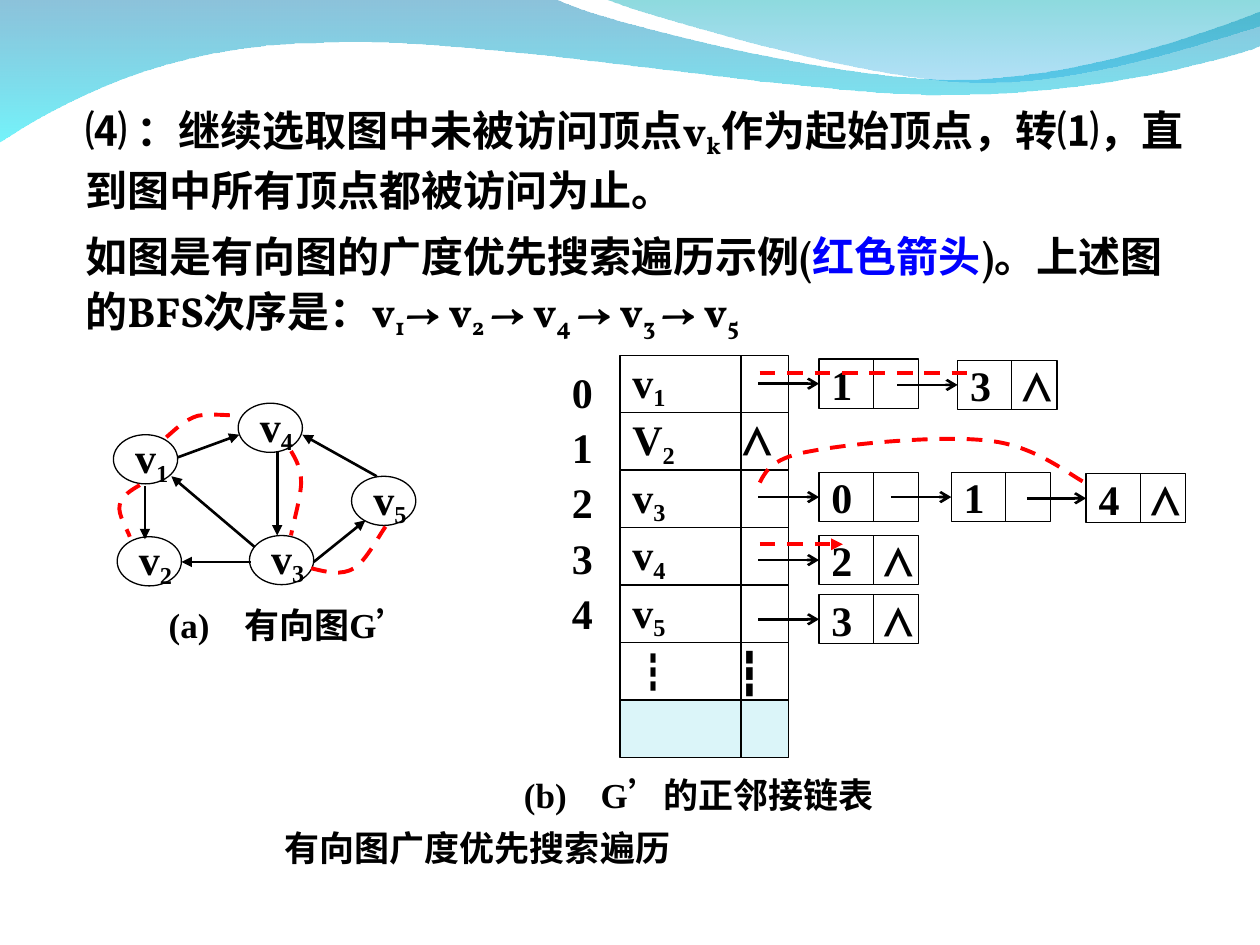
from lxml import etree
from pptx import Presentation
from pptx.dml.color import RGBColor
from pptx.enum.dml import MSO_LINE
from pptx.enum.shapes import MSO_CONNECTOR, MSO_SHAPE
from pptx.enum.text import MSO_ANCHOR, PP_ALIGN
from pptx.oxml.ns import qn
from pptx.util import Inches, Pt

DASH = MSO_LINE.DASH
STRAIGHT = MSO_CONNECTOR.STRAIGHT
RECT, OVAL = MSO_SHAPE.RECTANGLE, MSO_SHAPE.OVAL
TOP, MIDDLE = MSO_ANCHOR.TOP, MSO_ANCHOR.MIDDLE
LEFT = PP_ALIGN.LEFT
LEFT_SIDE = 1
CJK, SERIF, BODY = "Noto Sans CJK SC", "Times New Roman", "Vollkorn"
BLACK, RED, BLUE, PALE = "000000", "FF0000", "0000FF", "DBF5F9"


def rgb(color):
    return RGBColor.from_string(color)


def set_text(sp, paragraphs, size=24, font=SERIF, anchor=MIDDLE, wrap=False,
             spacing=None, gap=0, indent=0, tab=None, sub=-20):
    """Each paragraph is a list of runs: text, or (text, options)."""
    tf = sp.text_frame
    tf.word_wrap = wrap
    tf.vertical_anchor = anchor
    for i, runs in enumerate(paragraphs):
        p = tf.paragraphs[0] if i == 0 else tf.add_paragraph()
        p.alignment = LEFT
        pPr = p._p.get_or_add_pPr()
        if indent:
            pPr.set("marL", str(Inches(indent)))
            pPr.set("indent", "0")
        if tab:
            tabs = etree.SubElement(pPr, qn("a:tabLst"))
            etree.SubElement(tabs, qn("a:tab"), pos=str(Inches(tab)), algn="l")
        if spacing:
            p.line_spacing = spacing
        if i and gap:
            p.space_before = Pt(gap)
        for run in runs:
            text, opts = (run, {}) if isinstance(run, str) else run
            r = p.add_run()
            r.text = text
            r.font.size = Pt(size)
            r.font.bold = True
            r.font.name = opts.get("font", font)
            r.font.color.rgb = rgb(opts.get("color", BLACK))
            rPr = r._r.get_or_add_rPr()
            rPr.set("kern", "1200")
            etree.SubElement(rPr, qn("a:ea"), typeface=CJK)
            if opts.get("sub"):
                rPr.set("baseline", str(sub * 1000))


def sub(text):
    return text, {"sub": True}


def cjk(text):
    return text, {"font": CJK}


def add_text(slide, x, y, w, h, paragraphs, **fmt):
    sp = slide.shapes.add_textbox(Inches(x), Inches(y), Inches(w), Inches(h))
    set_text(sp, paragraphs, **fmt)


def add_box(slide, kind, x, y, w, h, runs=None, fill=None, **fmt):
    sp = slide.shapes.add_shape(kind, Inches(x), Inches(y), Inches(w), Inches(h))
    sp.shadow.inherit = False
    if fill:
        sp.fill.solid()
        sp.fill.fore_color.rgb = rgb(fill)
    else:
        sp.fill.background()
    sp.line.color.rgb = rgb(BLACK)
    sp.line.width = Pt(0.75)
    if runs:
        set_text(sp, [runs], **fmt)
    return sp


def add_line(slide, start, end, color=BLACK, width=1.5, arrow=None, dash=None):
    points = [Inches(v) for v in (*start, *end)]
    line = slide.shapes.add_connector(STRAIGHT, *points)
    line.line.color.rgb = rgb(color)
    line.line.width = Pt(width)
    if dash:
        line.line.dash_style = dash
    if arrow:
        etree.SubElement(line.line._get_or_add_ln(), qn("a:tailEnd"), type=arrow)
    etree.SubElement(line._element.spPr, qn("a:effectLst"))
    return line


def add_curve(slide, start, segments, close=False):
    """A segment is one point (straight) or three points (Bezier)."""
    points = [(Inches(x), Inches(y)) for seg in segments for x, y in seg]
    builder = slide.shapes.build_freeform(Inches(start[0]), Inches(start[1]), scale=1.0)
    builder.add_line_segments(points, close=close)
    sp = builder.convert_to_shape()
    sp.shadow.inherit = False
    # Turn each group of three line steps into one Bezier step
    steps = iter(list(sp._element.iter(qn("a:lnTo"))))
    for seg in segments:
        group = [next(steps) for _ in seg]
        if len(group) == 3:
            cubic = etree.Element(qn("a:cubicBezTo"))
            group[0].addprevious(cubic)
            for step in group:
                cubic.append(step[0])
                step.getparent().remove(step)
    return sp


def add_wave(slide, start, segments, stops):
    sp = add_curve(slide, start, segments, close=True)
    sp.line.fill.background()
    grad = etree.Element(qn("a:gradFill"))
    gs_list = etree.SubElement(grad, qn("a:gsLst"))
    for pos, (color, alpha) in zip((0, 100), stops):
        gs = etree.SubElement(gs_list, qn("a:gs"), pos=str(pos * 1000))
        clr = etree.SubElement(gs, qn("a:srgbClr"), val=color)
        etree.SubElement(clr, qn("a:alpha"), val=str(alpha * 1000))
    etree.SubElement(grad, qn("a:lin"), ang="5400000", scaled="0")
    sp._element.spPr.find(qn("a:custGeom")).addnext(grad)


def add_trail(slide, start, segments):
    sp = add_curve(slide, start, segments)
    sp.fill.background()
    sp.line.color.rgb = rgb(RED)
    sp.line.width = Pt(2.25)
    sp.line.dash_style = DASH


def add_cell(slide, x, y, w, h, divider, runs=None, **fmt):
    """Rectangle split in two by a vertical line."""
    sp = add_box(slide, RECT, x, y, w, h, runs, **fmt)
    add_line(slide, (x + divider, y), (x + divider, y + h), width=0.75)
    return sp


def add_waves(slide):
    add_wave(slide, (0, -0.01), [
        [(4.4, -0.01)], [(4.76, 0.17), (6.64, 0.63), (7.58, 0.63)],
        [(8.53, 0.63), (9.58, 0.26), (10, 0.09)], [(10.01, 0.36)],
        [(9.83, 0.44), (8.7, 0.76), (7.46, 0.75)],
        [(6.22, 0.75), (3.82, 0.28), (2.57, 0.34)],
        [(1.29, 0.35), (0.46, 0.83), (-0.01, 1.13)],
    ], [("0079AF", 45), ("00EBF8", 55)])
    add_wave(slide, (4.79, -0.01), [
        [(5.09, 0.11), (6.82, 0.62), (7.69, 0.65)],
        [(8.56, 0.69), (9.61, 0.32), (10, 0.21)], [(10, 0)],
    ], [("00ADB6", 45), ("009BE5", 30)])


def add_adjacency_list(slide):
    # Vertex column
    row_h = 0.456
    rows = [["v", sub("1")], ["V", sub("2"), "\t⋀"], ["v", sub("3")],
            ["v", sub("4")], ["v", sub("5")], [cjk("┇"), "\t┇"], None]
    for i, runs in enumerate(rows):
        add_cell(slide, 4.92, 2.82 + i * row_h, 1.34, row_h, 0.96, runs,
                 fill=None if runs else PALE, tab=0.83 if i == 5 else 0.87)
    add_text(slide, 4.44, 2.81, 0.39, 2.31, [[str(i)] for i in range(5)], spacing=1.1)

    # Linked nodes: x, y, label, start of the arrow that leads in
    w, h = 0.79, 0.39
    nodes = [(6.5, 2.85, "1", 6.02), (7.6, 2.86, "3\t⋀", 7.12),
             (6.5, 3.75, "0", 6.02), (7.55, 3.75, "1", 7.07), (8.62, 3.76, "4\t⋀", 8.15),
             (6.5, 4.25, "2\t⋀", 6.02), (6.5, 4.72, "3\t⋀", 6.02)]
    for x, y, label, start in nodes:
        sp = add_cell(slide, x, y, w, h, 0.43, [label], tab=0.41)
        mid = y + h / 2
        line = add_line(slide, (start, mid), (x, mid), arrow="arrow")
        line.end_connect(sp, LEFT_SIDE)

    # Search order
    add_trail(slide, (6.03, 2.96), [[(6.75, 2.96), (7.47, 2.96), (7.76, 2.96)]])
    add_line(slide, (6.03, 4.32), (6.69, 4.32), RED, 2.25, "triangle", DASH)
    add_trail(slide, (6.03, 3.83), [[(6.08, 3.73), (6.14, 3.63), (6.44, 3.58)],
                                    [(6.75, 3.52), (7.5, 3.45), (7.86, 3.5)],
                                    [(8.22, 3.54), (8.49, 3.77), (8.61, 3.83)]])
    add_text(slide, 4.06, 6.13, 3.3, 0.35, [["(b)\tG’的正邻接链表"]],
             size=20, tab=0.61, wrap=True)


def add_graph(slide):
    vertices = [(0.9, 3.45), (0.93, 4.26), (1.98, 4.25), (1.89, 3.2), (2.79, 3.78)]
    for i, (x, y) in enumerate(vertices, 1):
        add_box(slide, OVAL, x, y, 0.51, 0.39, ["v", sub(str(i))])
    edges = [((1.15, 3.86), (1.15, 4.28)), ((2.2, 3.59), (2.2, 4.25)),
             ((2.02, 4.34), (1.36, 3.78)), ((1.41, 3.63), (1.9, 3.45)),
             ((1.99, 4.46), (1.44, 4.46)), ((2.99, 3.78), (2.4, 3.45)),
             ((2.49, 4.46), (2.9, 4.13))]
    for start, end in edges:
        add_line(slide, start, end, arrow="triangle")

    # Search order
    trails = [
        ((1.32, 3.47), [(1.4, 3.4), (1.47, 3.33), (1.57, 3.3)], [(1.67, 3.28), (1.85, 3.3), (1.9, 3.3)]),
        ((1.11, 3.85), [(1.04, 3.89), (0.96, 3.94), (0.95, 4.01)], [(0.93, 4.08), (1.02, 4.22), (1.03, 4.26)]),
        ((2.31, 3.58), [(2.35, 3.65), (2.39, 3.72), (2.39, 3.83)], [(2.39, 3.94), (2.32, 4.18), (2.31, 4.25)]),
        ((2.47, 4.51), [(2.59, 4.54), (2.71, 4.57), (2.81, 4.51)], [(2.9, 4.46), (3.02, 4.23), (3.06, 4.18)]),
    ]
    for start, *segments in trails:
        add_trail(slide, start, segments)
    add_text(slide, 1.24, 4.78, 2.3, 0.35, [["(a)\t有向图G’"]],
             size=20, tab=0.6, wrap=True)


def main():
    prs = Presentation()
    prs.slide_width, prs.slide_height = Inches(10), Inches(7.5)
    slide = prs.slides.add_slide(prs.slide_layouts[6])
    add_waves(slide)

    # Explanation
    step = [cjk("⑷ ："), "继续选取图中", cjk("未被访问"), "顶点v", sub("k"), "作为起始顶点",
            cjk("，转⑴，直到图中所有顶点都被访问为止。")]
    example = ["如图是有向图的广度优先搜索遍历示例(", ("红色箭头", {"color": BLUE}), ")",
               cjk("。"), "上述图的BFS次序是", cjk("："), "v", sub("1")]
    for number in ("2 ", "4 ", "3 ", "5"):
        example += ["→ v", sub(number)]
    add_text(slide, 0, 0.74, 9.64, 2.04, [step, example], font=BODY, anchor=TOP,
             wrap=True, spacing=1.1, gap=6, indent=0.58, sub=-18)

    add_graph(slide)
    add_adjacency_list(slide)
    add_text(slide, 2.16, 6.55, 4.21, 0.35, [["有向图广度优先搜索遍历"]], size=20)
    prs.save("out.pptx")


if __name__ == "__main__":
    main()
